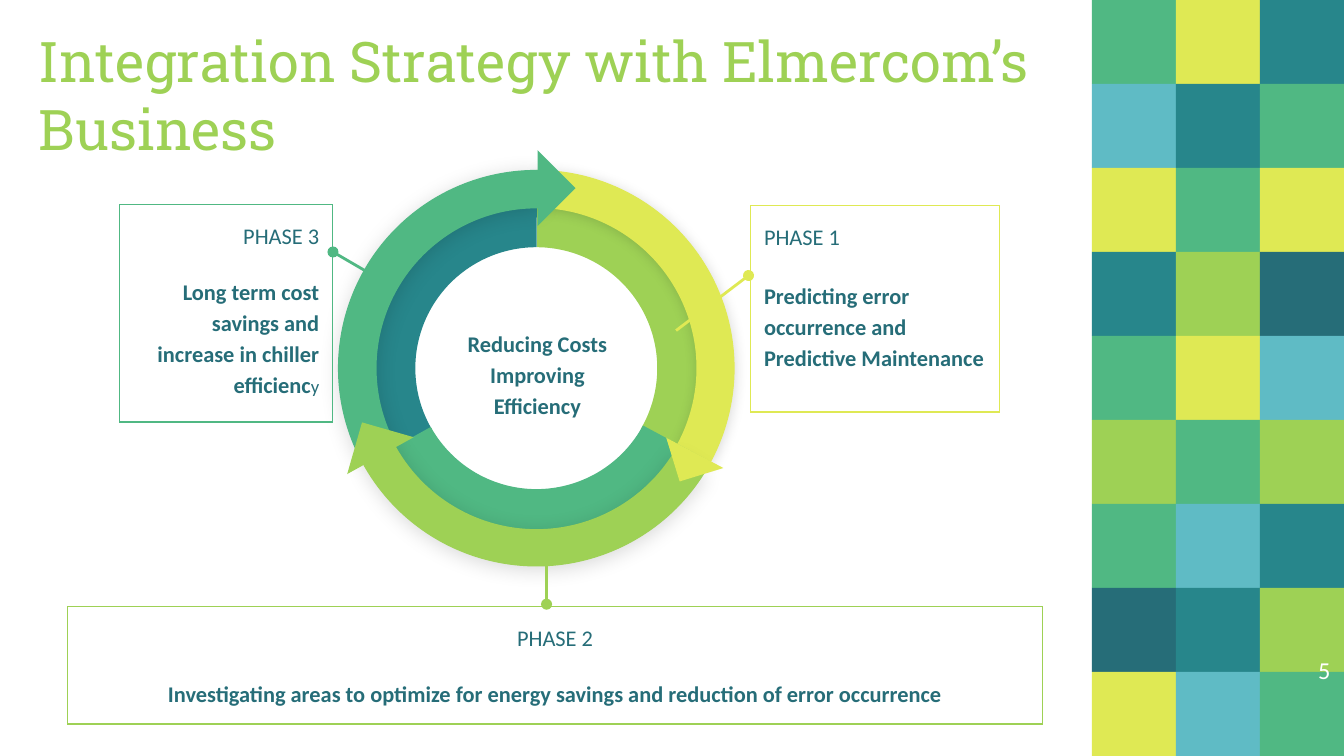
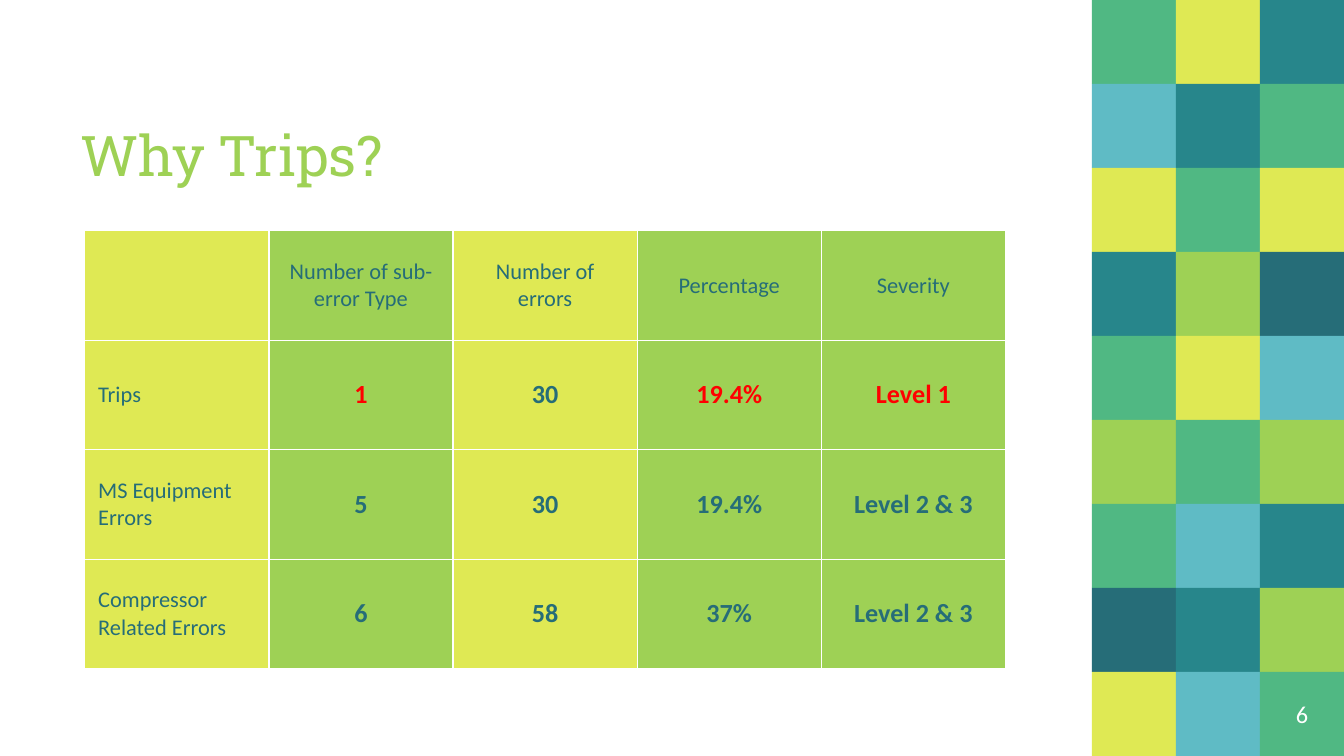
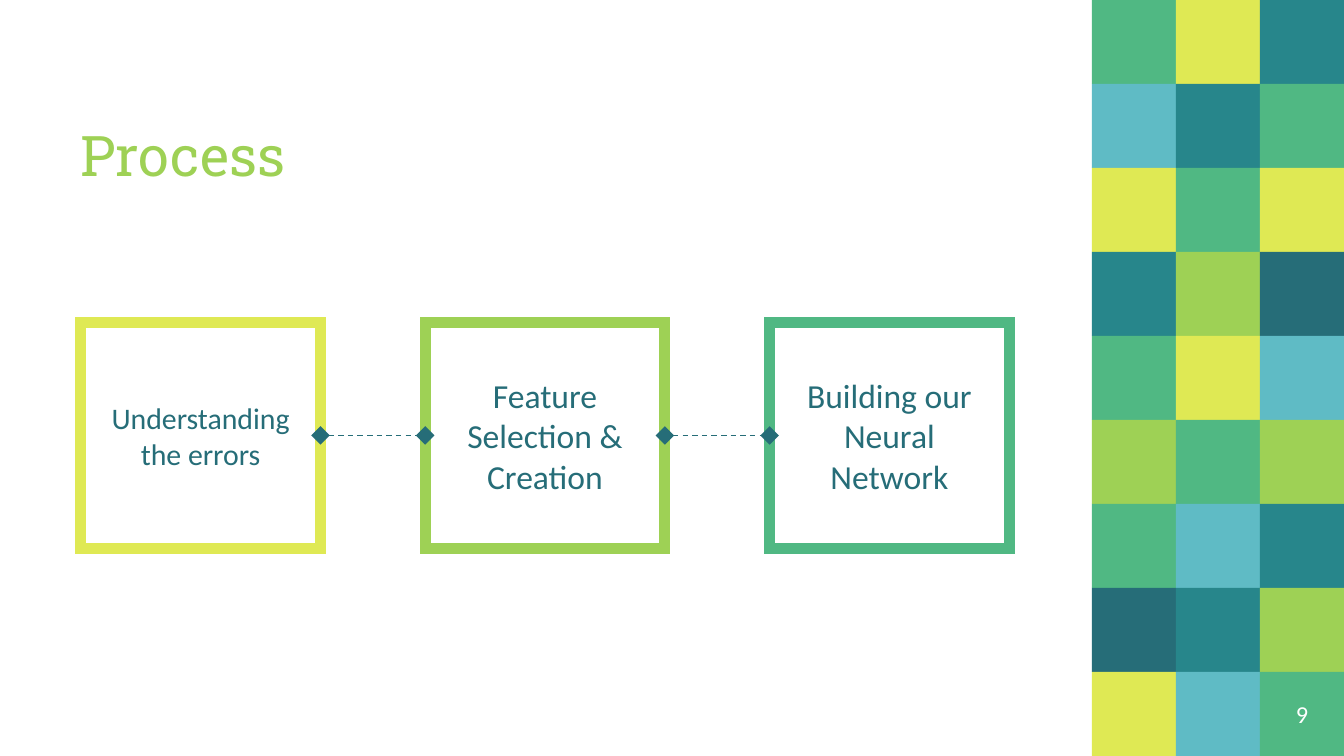
from lxml import etree
from pptx import Presentation
from pptx.dml.color import RGBColor
from pptx.enum import dml, shapes, text
from pptx.oxml import ns
from pptx.util import Pt

# Shared look
LIME = RGBColor(0x9E, 0xD1, 0x55)
YELLOW = RGBColor(0xDF, 0xE9, 0x54)
GREEN = RGBColor(0x50, 0xB8, 0x83)
TEAL = RGBColor(0x27, 0x86, 0x8B)
DARK = RGBColor(0x26, 0x6D, 0x78)
SKY = RGBColor(0x5F, 0xBB, 0xC5)
WHITE = RGBColor(0xFF, 0xFF, 0xFF)
RED = RGBColor(0xFF, 0x00, 0x00)

BODY_FONT = "Calibri"
TITLE_FONT = "Roboto Slab"
INSET = 7.2
TILE = 45
MOSAIC_LEFT = 585
MOSAIC = [
    (GREEN, YELLOW, TEAL),
    (SKY, TEAL, GREEN),
    (YELLOW, GREEN, YELLOW),
    (TEAL, LIME, DARK),
    (GREEN, YELLOW, SKY),
    (LIME, GREEN, LIME),
    (GREEN, SKY, TEAL),
    (DARK, TEAL, LIME),
    (YELLOW, SKY, GREEN),
]
TITLE_BOX = (36, 40.3, 504.7, 67.7)
NUMBER_CORNER = (675, 360)

LEFT, CENTER, RIGHT = text.PP_ALIGN.LEFT, text.PP_ALIGN.CENTER, text.PP_ALIGN.RIGHT
TOP, MIDDLE, BOTTOM = text.MSO_ANCHOR.TOP, text.MSO_ANCHOR.MIDDLE, text.MSO_ANCHOR.BOTTOM


# XML helpers
def add_xml(parent, tag, **attributes):
    return etree.SubElement(parent, ns.qn(tag), attributes)


def set_ends(line_shape, kind, size, both=False):
    outline = line_shape.line._get_or_add_ln()
    for tag in ("a:headEnd", "a:tailEnd")[:2 if both else 1]:
        add_xml(outline, tag, type=kind, w=size, len=size)


def set_cell_borders(cell, color, width):
    properties = cell._tc.get_or_add_tcPr()
    for position, tag in enumerate(("a:lnL", "a:lnR", "a:lnT", "a:lnB")):
        border = etree.Element(ns.qn(tag), w=str(Pt(width)))
        add_xml(add_xml(border, "a:solidFill"), "a:srgbClr", val=str(color))
        properties.insert(position, border)


def add_shadow(shape, blur, distance):
    effects = shape.element.spPr.find(ns.qn("a:effectLst"))
    shadow = add_xml(effects, "a:outerShdw", blurRad=str(Pt(blur)),
                     dist=str(Pt(distance)), dir="5400000", rotWithShape="0")
    add_xml(add_xml(shadow, "a:srgbClr", val="000000"), "a:alpha", val="15000")


# Text
def set_font(font, size, color=DARK, bold=False, name=BODY_FONT):
    font.name, font.size, font.bold = name, Pt(size), bold
    font.color.rgb = color


def prepare_frame(shape, anchor):
    frame = shape.text_frame
    frame.word_wrap = True
    frame.vertical_anchor = anchor
    frame.margin_left = frame.margin_right = Pt(INSET)
    frame.margin_top = frame.margin_bottom = Pt(INSET)
    return frame


def write(shape, words, size, align=CENTER, anchor=MIDDLE, spacing=None, **style):
    paragraph = prepare_frame(shape, anchor).paragraphs[0]
    paragraph.text = words
    paragraph.alignment = align
    paragraph.line_spacing = spacing
    set_font(paragraph.font, size, **style)


def add_textbox(slide, box, words, size, **style):
    shape = slide.shapes.add_textbox(*map(Pt, box))
    write(shape, words, size, **style)


# Shapes
def add_shape(slide, kind, box, fill=None, line=None, width=0.75, rotation=0):
    shape = slide.shapes.add_shape(kind, *map(Pt, box))
    shape.shadow.inherit = False
    shape.rotation = rotation
    if fill is None:
        shape.fill.background()
    else:
        shape.fill.solid()
        shape.fill.fore_color.rgb = fill
    if line is None:
        shape.line.fill.background()
    else:
        shape.line.color.rgb = line
        shape.line.width = Pt(width)
        add_xml(shape.line._get_or_add_ln(), "a:miter", lim="800000")
    return shape


def add_line(slide, start, end, color, width):
    line = slide.shapes.add_connector(shapes.MSO_CONNECTOR.STRAIGHT,
                                      *map(Pt, (*start, *end)))
    line.line.color.rgb = color
    line.line.width = Pt(width)
    add_xml(line.element.spPr, "a:effectLst")
    return line


def add_ring_arc(slide, color, rotation, flip, start, end, thickness, shadow=None):
    """Angles in degrees, thickness in percent of the ring's size."""
    arc = add_shape(slide, shapes.MSO_SHAPE.BLOCK_ARC, (181.5, 91.4, 211.7, 211.7),
                    color, color if shadow else None, rotation=rotation)
    for index, value in enumerate((start * 0.6, end * 0.6, thickness / 100)):
        arc.adjustments[index] = value
    if flip:
        arc.element.spPr.find(ns.qn("a:xfrm")).set("flipH", "1")
    if shadow:
        add_shadow(arc, *shadow)


def add_phase(slide, box, color, align, heading, runs, gap, start, end):
    set_ends(add_line(slide, start, end, color, 1.5), "oval", "med")
    shape = add_shape(slide, shapes.MSO_SHAPE.RECTANGLE, box, line=color)
    write(shape, heading, 12, align=align, anchor=TOP, spacing=1.15)
    paragraph = shape.text_frame.add_paragraph()
    paragraph.alignment = align
    paragraph.line_spacing = 1.15
    paragraph.space_before = Pt(gap)
    for words, size, bold in runs:
        run = paragraph.add_run()
        run.text = words
        set_font(run.font, size, bold=bold)


def add_base_slide(presentation, title, number, title_box=TITLE_BOX,
                   number_corner=NUMBER_CORNER):
    slide = presentation.slides.add_slide(presentation.slide_layouts[6])
    for row, colors in enumerate(MOSAIC):
        for column, color in enumerate(colors):
            box = (MOSAIC_LEFT + column * TILE, row * TILE, TILE, TILE)
            add_shape(slide, shapes.MSO_SHAPE.RECTANGLE, box, color)
    add_textbox(slide, title_box, title, 30, align=LEFT, anchor=BOTTOM,
                color=LIME, name=TITLE_FONT)
    add_textbox(slide, (*number_corner, TILE, TILE), number, 13, color=WHITE)
    return slide


# Slides
def build_strategy(presentation):
    slide = add_base_slide(presentation, "Integration Strategy with Elmercom’s Business",
                           "5", (13.7, 13, 566.6, 80.6), (687, 336.4))
    add_textbox(slide, (231, 167.8, 113.8, 63.4), "Reducing Costs Improving Efficiency",
                12, spacing=1.15, bold=True)

    # Ring: inner and outer arcs, then arrow tips
    for arc in [
        (LIME, 30, False, 240.24, 0.34, 19.4),
        (YELLOW, 30, False, 240.24, 358.45, 9.3, (6.8, 0.8)),
        (TEAL, 330, True, 239.81, 0.11, 19.4),
        (GREEN, 210, True, 239.07, 1.74, 19.4),
        (GREEN, 330, True, 239.14, 357.88, 9.4, (11.2, 1.5)),
        (LIME, 210, True, 238.6, 358.33, 9.1, (11.2, 1.5)),
    ]:
        add_ring_arc(slide, *arc)
    for left, top, size, rotation, color in [
        (189.4, 229.7, 28.8, 106, LIME),
        (360, 230.4, 24.5, 342.9, YELLOW),
        (273.6, 86.4, 28.8, 225, GREEN),
    ]:
        add_shape(slide, shapes.MSO_SHAPE.RIGHT_TRIANGLE, (left, top, size, size),
                  color, rotation=rotation)

    # Phase notes with their pointers
    add_phase(slide, (64.2, 109.6, 114, 116.6), GREEN, RIGHT, "PHASE 3",
              [("Long term cost savings and increase in chiller efficienc", 12, True),
               ("y", 10, False)],
              13.5, (178.4, 135), (212.4, 154.8))
    add_phase(slide, (402.2, 110.2, 133.2, 110.5), YELLOW, LEFT, "PHASE 1",
              [("Predicting error occurrence and Predictive Maintenance", 12, True)],
              15, (401, 147.6), (362.2, 177.1))
    add_phase(slide, (36.2, 324.8, 522.4, 63.2), LIME, CENTER, "PHASE 2",
              [("Investigating areas to optimize for energy savings and "
                "reduction of error occurrence", 12, True)],
              13.5, (292.8, 323.7), (292.8, 285.1))


def build_trips(presentation):
    slide = add_base_slide(presentation, "Why Trips?", "6")
    rows = [
        ("", "Number of sub-error Type", "Number of errors", "Percentage", "Severity"),
        ("Trips", "1", "30", "19.4%", "Level 1"),
        ("MS Equipment Errors", "5", "30", "19.4%", "Level 2 & 3"),
        ("Compressor Related Errors", "6", "58", "37%", "Level 2 & 3"),
    ]
    column_fills = (YELLOW, LIME, YELLOW, LIME, LIME)
    column_width, row_height = 98.65, 58.65
    table = slide.shapes.add_table(
        len(rows), len(column_fills), Pt(45.4), Pt(123.6),
        Pt(column_width * len(column_fills)), Pt(row_height * len(rows))).table
    table.first_row = table.horz_banding = False
    for column in table.columns:
        column.width = Pt(column_width)
    for row_index, row in enumerate(rows):
        table.rows[row_index].height = Pt(row_height)
        for column_index, words in enumerate(row):
            cell = table.cell(row_index, column_index)
            cell.fill.solid()
            cell.fill.fore_color.rgb = column_fills[column_index]
            set_cell_borders(cell, WHITE, 0.75)
            cell.margin_left = cell.margin_right = Pt(INSET)
            cell.margin_top = cell.margin_bottom = Pt(5)
            cell.vertical_anchor = MIDDLE
            is_value = row_index > 0 and column_index > 0
            is_alert = row_index == 1 and column_index in (1, 3, 4)
            paragraph = cell.text_frame.paragraphs[0]
            paragraph.text = words
            paragraph.alignment = CENTER if column_index else LEFT
            set_font(paragraph.font, 14 if is_value else 12,
                     RED if is_alert else DARK, is_value)


def build_process(presentation):
    slide = add_base_slide(presentation, "Process", "9")
    steps = []
    for index, (words, size, color) in enumerate([
        ("Understanding the errors", 16, YELLOW),
        ("Feature Selection & Creation", 18, LIME),
        ("Building our Neural Network", 18, GREEN),
    ]):
        box = (43.3 + index * 184.5, 172.8, 128.4, 121)
        step = add_shape(slide, shapes.MSO_SHAPE.RECTANGLE, box, line=color, width=6)
        write(step, words, size)
        steps.append(step)
    for before, after in zip(steps, steps[1:]):
        link = add_line(slide, (0, 0), (0, 0), DARK, 0.75)
        link.begin_connect(before, 3)
        link.end_connect(after, 1)
        link.line.dash_style = dml.MSO_LINE.DASH
        set_ends(link, "diamond", "lg", both=True)


def main():
    presentation = Presentation()
    presentation.slide_width, presentation.slide_height = Pt(720), Pt(405)
    build_strategy(presentation)
    build_trips(presentation)
    build_process(presentation)
    presentation.save("out.pptx")


if __name__ == "__main__":
    main()
